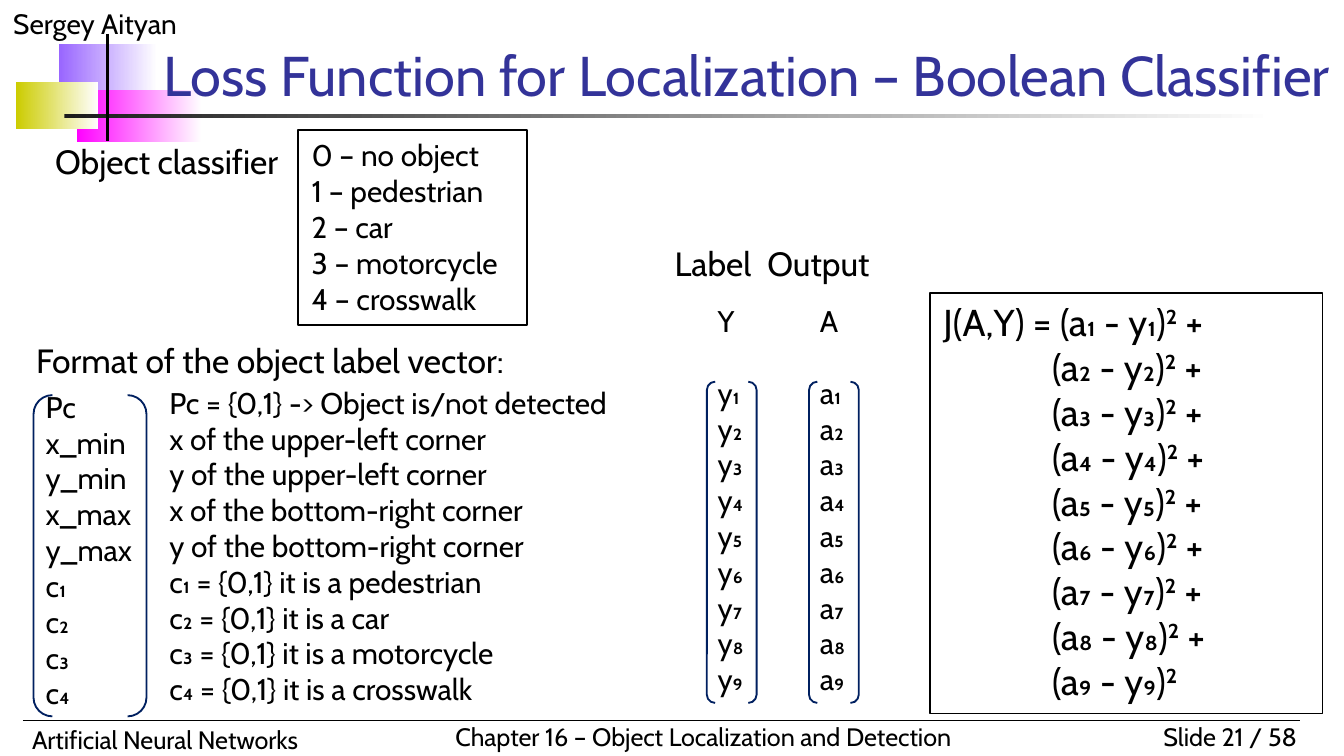
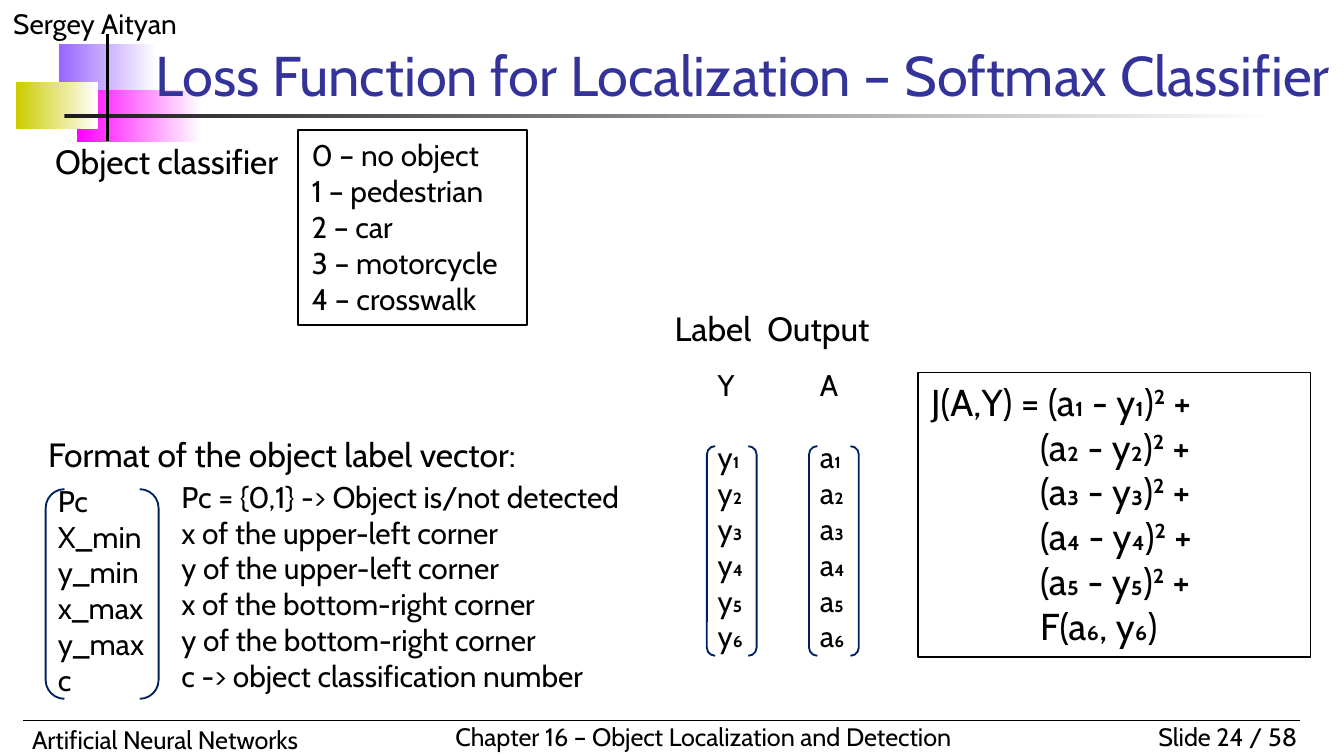
import dataclasses
import typing

import lxml.etree
import pptx
import pptx.dml.color
import pptx.enum.shapes
import pptx.enum.text
import pptx.oxml.ns
import pptx.util

SCALE = 9144
FONT = "Cabin"
HUES = {
    "ink": "000000", "title": "333399", "navy": "002060", "white": "FFFFFF",
    "violet": "9966FF", "pink": "FF00FF", "olive": "CCCC00", "dark": "1C1C1C",
}
SUBS = "₁₂₃₄₅₆₇₈₉"
ALIGN = pptx.enum.text.PP_ALIGN
ANCHOR = pptx.enum.text.MSO_ANCHOR
KIND = pptx.enum.shapes.MSO_SHAPE


class Box(typing.NamedTuple):
    left: int
    top: int
    width: int
    height: int


class Row(typing.NamedTuple):
    text: str
    inset: int = 0
    gap: float = 0


class Band(typing.NamedTuple):
    hue: str
    box: Box


class Rule(typing.NamedTuple):
    start: tuple[int, int]
    end: tuple[int, int]
    weight: float


class Note(typing.NamedTuple):
    text: str
    box: Box
    size: float
    align: ALIGN = ALIGN.LEFT


@dataclasses.dataclass
class Page:
    title: str
    number: int
    names: list[str]
    senses: list[str]
    final: list[str]
    loss: tuple[int, int]
    vector: tuple[int, int]
    pair: int


BANDS = [
    Band("violet", Box(44, 33, 73, 39)),
    Band("pink", Box(57, 67, 93, 39)),
    Band("olive", Box(12, 61, 61, 35)),
    Band("dark", Box(48, 85, 900, 3)),
]
RULES = [Rule((17, 536), (967, 536), 0.75), Rule((80, 25), (80, 105), 2)]
NOTES = [
    Note("Sergey Aityan", Box(0, 0, 250, 35), 15),
    Note("Slide {} / 58", Box(825, 532, 150, 33), 13.5, ALIGN.RIGHT),
    Note("Artificial Neural Networks", Box(14, 534, 370, 33), 13.5),
    Note("Chapter 16 – Object Localization and Detection",
         Box(329, 532, 412, 33), 13.5),
    Note("Object classifier", Box(8, 100, 232, 40), 18, ALIGN.CENTER),
]
THINGS = ["no object", "pedestrian", "car", "motorcycle", "crosswalk"]
COORDS = ["y_min", "x_max", "y_max"]
SENSES = ["Pc = {0,1} -> Object is/not detected"] + [
    f"{axis} of the {corner} corner"
    for corner in ("upper-left", "bottom-right") for axis in "xy"
]
PAGES = [
    Page(
        "Loss Function for Localization – Boolean Classifier", 21,
        ["Pc", "x_min", *COORDS, *(f"c{sub}" for sub in SUBS[:4])],
        SENSES + [f"c{sub} = {{0,1}} it is a {thing}"
                  for sub, thing in zip(SUBS, THINGS[1:])],
        [f"(a{sub} - y{sub})² +" for sub in SUBS[5:8]] + ["(a₉ - y₉)²"],
        (692, 218), (17, 248), 176,
    ),
    Page(
        "Loss Function for Localization – Softmax Classifier", 24,
        ["Pc", "X_min", *COORDS, "c"],
        SENSES + ["c -> object classification number"],
        ["F(a₆, y₆)"],
        (683, 277), (26, 318), 224,
    ),
]


def px(count: int) -> pptx.util.Emu:
    return pptx.util.Emu(count * SCALE)


def color(hue: str) -> pptx.dml.color.RGBColor:
    return pptx.dml.color.RGBColor.from_string(HUES[hue])


def place(shape, box: Box) -> None:
    shape.left, shape.top, shape.width, shape.height = map(px, box)


def put(para, text: str, size: float, hue: str = "ink"):
    run = para.add_run()
    run.text = text
    run.font.name = FONT
    run.font.size = pptx.util.Pt(size)
    run.font.color.rgb = color(hue)
    return run


def fill(frame, rows: list[Row], size: float, align: ALIGN = ALIGN.LEFT,
         hue: str = "ink", anchor: ANCHOR = ANCHOR.TOP) -> None:
    frame.word_wrap = True
    frame.auto_size = pptx.enum.text.MSO_AUTO_SIZE.NONE
    frame.vertical_anchor = anchor
    for index, row in enumerate(rows):
        para = frame.add_paragraph() if index else frame.paragraphs[0]
        props = para._p.get_or_add_pPr()
        props.set("marL", str(px(row.inset)))
        props.set("indent", "0")
        lxml.etree.SubElement(props, pptx.oxml.ns.qn("a:buNone"))
        para.alignment = align
        para.space_before = pptx.util.Pt(row.gap)
        put(para, row.text, size, hue)


def add_text(slide, box: Box, rows: list[Row], size: float,
             align: ALIGN = ALIGN.LEFT, flush: bool = False):
    frame = slide.shapes.add_textbox(*map(px, box)).text_frame
    if flush:
        frame.margin_left = frame.margin_right = 0
        frame.margin_top = frame.margin_bottom = 0
    fill(frame, rows, size, align)
    return frame


def add_frame(slide, kind: KIND, box: Box, hue: str, weight: float):
    shape = slide.shapes.add_shape(kind, *map(px, box))
    shape.shadow.inherit = False
    shape.fill.background()
    shape.line.color.rgb = color(hue)
    shape.line.width = pptx.util.Pt(weight)
    return shape


def add_list(slide, box: Box, rows: list[Row], size: float,
             weight: float) -> None:
    shape = add_frame(slide, KIND.RECTANGLE, box, "ink", weight)
    fill(shape.text_frame, rows, size)


def add_brace(slide, left: int, top: int, width: int, count: int) -> None:
    box = Box(left, top, width, 83 * count // 3 - 10)
    add_frame(slide, KIND.DOUBLE_BRACKET, box, "navy", 1)


def add_band(slide, band: Band) -> None:
    shape = slide.shapes.add_shape(KIND.RECTANGLE, *map(px, band.box))
    shape.shadow.inherit = False
    shape.line.fill.background()
    shape.fill.gradient()
    shape.fill.gradient_angle = 0
    for stop, hue in zip(shape.fill.gradient_stops, (band.hue, "white")):
        stop.color.rgb = color(hue)


def add_rule(slide, rule: Rule) -> None:
    line = slide.shapes.add_connector(
        pptx.enum.shapes.MSO_CONNECTOR.STRAIGHT,
        *map(px, rule.start + rule.end))
    line.line.color.rgb = color("ink")
    line.line.width = pptx.util.Pt(rule.weight)
    lxml.etree.SubElement(line._element.spPr,
                          pptx.oxml.ns.qn("a:effectLst"))


def add_base(slide, page: Page) -> None:
    for band in BANDS:
        add_band(slide, band)
    for rule in RULES:
        add_rule(slide, rule)
    for note in NOTES:
        add_text(slide, note.box, [Row(note.text.format(page.number))],
                 note.size, note.align)
    title = slide.shapes.title
    title._element.getparent().append(title._element)
    place(title, Box(58, 31, 942, 54))
    fill(title.text_frame, [Row(page.title)], 30, ALIGN.RIGHT, "title",
         ANCHOR.BOTTOM)
    add_list(slide, Box(222, 97, 170, 145),
             [Row(f"{code} – {thing}") for code, thing in enumerate(THINGS)],
             16, 1)


def add_loss(slide, page: Page) -> None:
    terms = [f"(a{sub} - y{sub})² +" for sub in SUBS[1:5]] + page.final
    rows = [Row("J(A,Y) = (a₁ - y₁)² +")] + [Row(term, 81) for term in terms]
    box = Box(*page.loss, 292, 101 * len(rows) // 3 + 10)
    add_list(slide, box, rows, 20, 0.75)


def add_pair(slide, page: Page) -> None:
    count, top = len(page.names), page.pair
    frame = add_text(slide, Box(483, top, 183, 40), [Row("Label")], 18,
                     ALIGN.CENTER)
    para = frame.paragraphs[0]
    space = put(para, " ", 18)
    space.font._element.set("spc", "450")
    put(para, "Output", 18)
    for head, left in (("Y", 526), ("A", 602)):
        rows = [Row(head)] + [
            Row(head.lower() + sub, gap=0 if index else 19.4)
            for index, sub in enumerate(SUBS[:count])
        ]
        add_text(slide, Box(left + 8, top + 49, 29, 27 * count + 53), rows,
                 16, flush=True)
        add_brace(slide, left, top + 108, 37, count)


def add_vector(slide, page: Page) -> None:
    left, top = page.vector
    count = len(page.names)
    add_text(slide, Box(left, top, 400, 40),
             [Row("Format of the object label vector:")], 18)
    body = slide.placeholders[1]
    place(body, Box(left + 99, top + 33, 383, 37 * count - 50))
    fill(body.text_frame, [Row(sense) for sense in page.senses], 16)
    add_text(slide, Box(left + 17, top + 41, 75, 36 * count - 55),
             [Row(name) for name in page.names], 16, flush=True)
    add_brace(slide, left + 8, top + 46, 84, count)


def main() -> None:
    deck = pptx.Presentation()
    deck.slide_width = px(1000)
    deck.slide_height = deck.slide_width * 9 // 16
    for page in PAGES:
        slide = deck.slides.add_slide(deck.slide_layouts[1])
        add_base(slide, page)
        add_loss(slide, page)
        add_pair(slide, page)
        add_vector(slide, page)
    deck.save("out.pptx")


if __name__ == "__main__":
    main()
